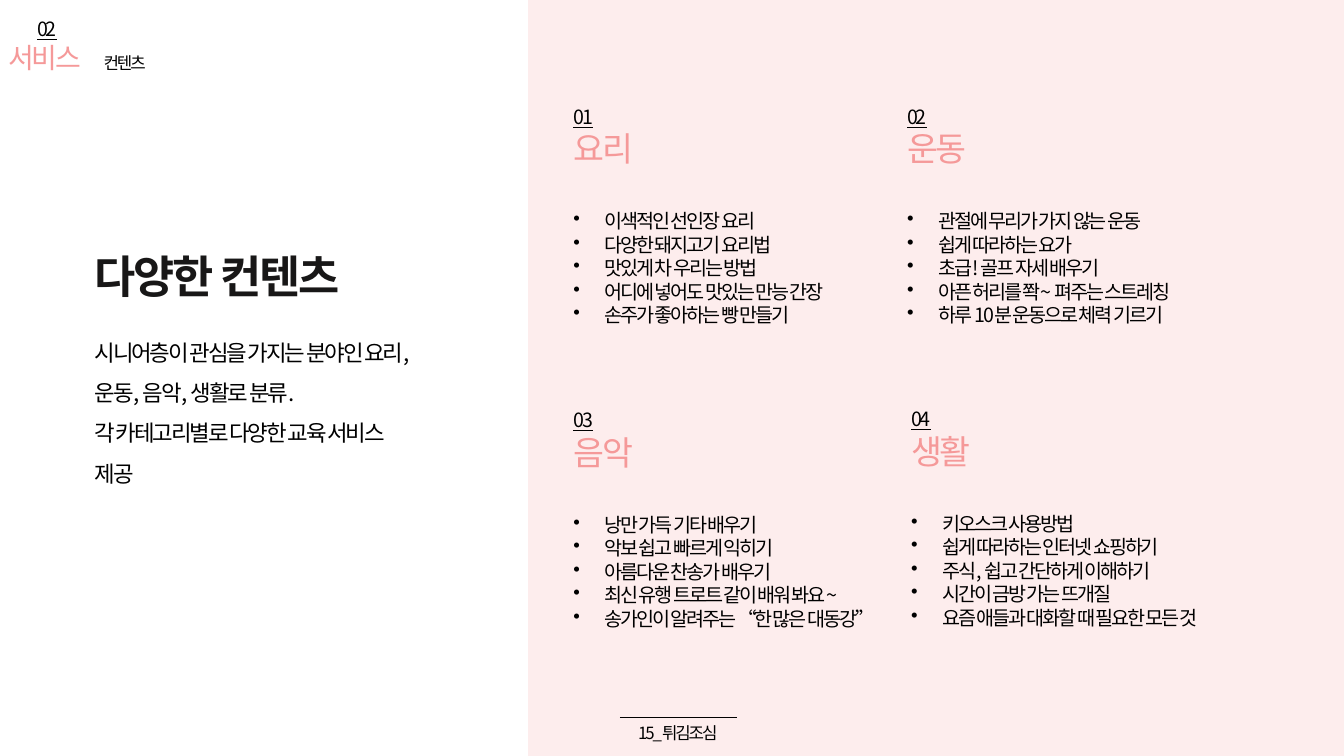
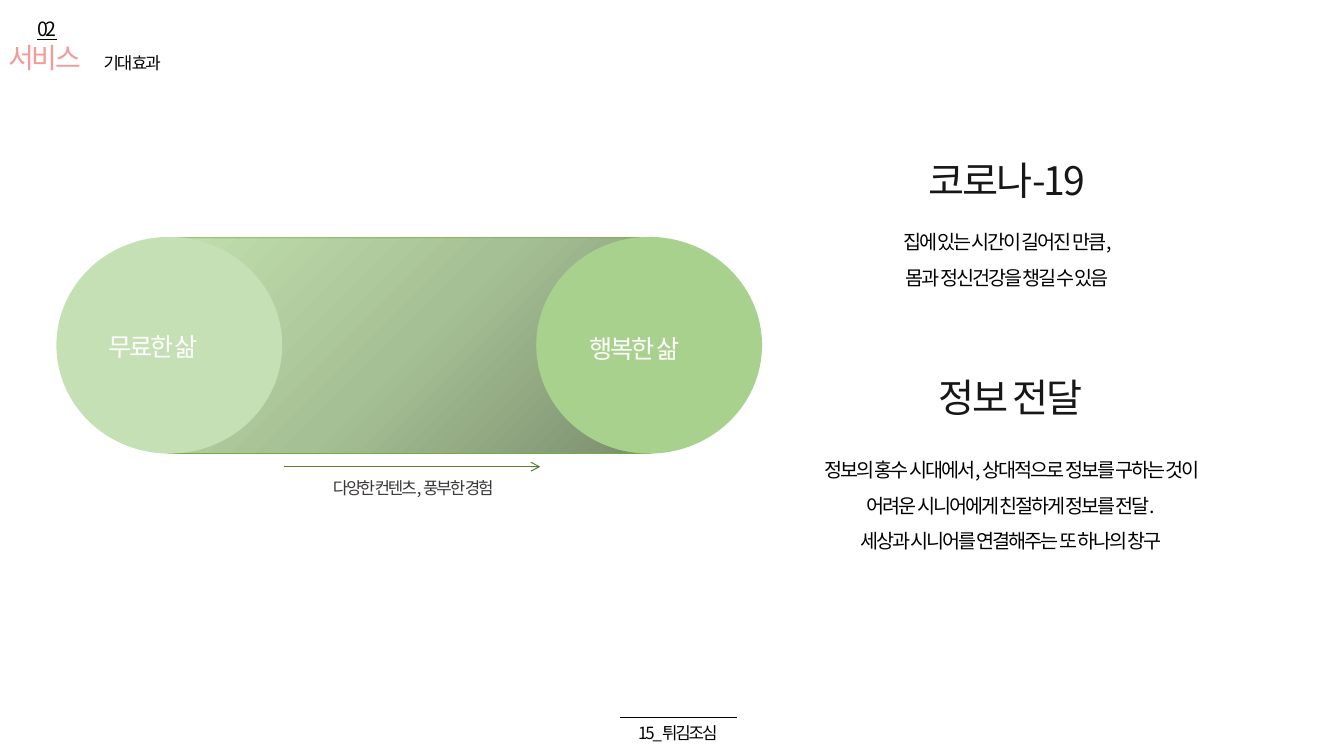
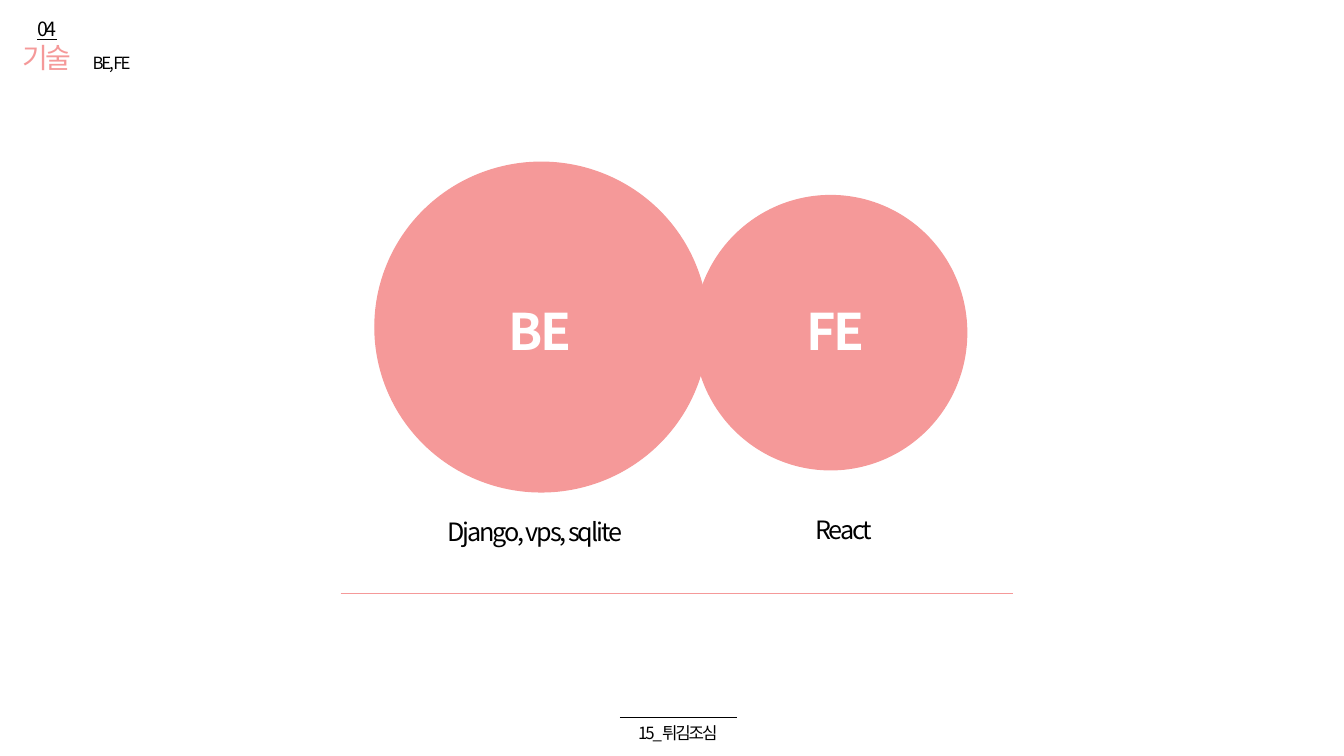
from pptx import Presentation, oxml, util as u
from pptx.dml.color import RGBColor
from pptx.enum import shapes as sh, text as tx
from pptx.oxml.ns import nsdecls, qn

PINK = RGBColor(0xF5, 0x99, 0x99)
BLUSH = RGBColor(0xFD, 0xED, 0xED)
BLACK = RGBColor(0, 0, 0)
INK = RGBColor(0x18, 0x17, 0x17)
GRAY = RGBColor(0x3B, 0x38, 0x38)
WHITE = RGBColor(0xFF, 0xFF, 0xFF)
LEAF = RGBColor(0xA9, 0xD1, 0x8E)
MINT = RGBColor(0xC5, 0xE0, 0xB4)
GREEN = RGBColor(0x70, 0xAD, 0x47)
MOSS = RGBColor(0x54, 0x82, 0x35)
FONT = "Noto Sans CJK KR"
MID = tx.PP_ALIGN.CENTER
OVAL = sh.MSO_SHAPE.OVAL

# The grid: square cells, 75 rows high
COLS, ROWS = 133.33, 75
CELL = u.Inches(0.1)


def write(page, lines, box, **base):
    """Add a text box; a line is a string or a (string, format) pair."""
    frame = page.shapes.add_textbox(*[int(n * CELL) for n in box]).text_frame
    frame.word_wrap = True
    for i, line in enumerate(lines):
        words, own = (line, {}) if isinstance(line, str) else line
        fmt = {**base, **own}
        para = frame.add_paragraph() if i else frame.paragraphs[0]
        if fmt.get("dot"):
            props = para._p.get_or_add_pPr()
            props.set("marL", str(u.Inches(0.31)))
            props.set("indent", str(-u.Inches(0.31)))
            props.append(oxml.parse_xml(f'<a:buChar {nsdecls("a")} char="•"/>'))
        para.alignment = fmt.get("align")
        para.line_spacing = fmt.get("lead")
        if "gap" in fmt:
            para.space_before = u.Pt(fmt["gap"])
        run = para.add_run()
        run.text = words
        font = run.font
        font.size = u.Pt(fmt.get("size", 14))
        font.bold = fmt.get("bold")
        font.underline = fmt.get("under")
        font.color.rgb = fmt.get("color", BLACK)
        font.name = FONT
        props = run._r.get_or_add_rPr()
        props.set("spc", "-150")
        props.find(qn("a:latin")).addnext(
            oxml.parse_xml(f'<a:ea {nsdecls("a")} typeface="{FONT}"/>'))


def draw(page, kind, box, fill=None, line=None, width=1):
    """Add a preset shape, or a level line if kind is None."""
    x, y, w, h = [int(n * CELL) for n in box]
    if kind is None:
        item = page.shapes.add_connector(sh.MSO_CONNECTOR.STRAIGHT, x, y, x + w, y + h)
        item._element.spPr.append(oxml.parse_xml(f'<a:effectLst {nsdecls("a")}/>'))
    else:
        item = page.shapes.add_shape(kind, x, y, w, h)
        item.shadow.inherit = False
        if fill is not None:
            item.fill.solid()
            item.fill.fore_color.rgb = fill
    if line is None:
        item.line.fill.background()
    else:
        item.line.color.rgb = line
        item.line.width = u.Pt(width)
    return item


deck = Presentation()
deck.slide_width, deck.slide_height = int(COLS * CELL), ROWS * CELL
menu, gain, tech = [deck.slides.add_slide(deck.slide_layouts[6]) for _ in range(3)]

# Contents
draw(menu, sh.MSO_SHAPE.RECTANGLE, (52.4, 0, COLS - 52.4, ROWS), BLUSH)
write(menu, ["다양한 컨텐츠"], (8.4, 24.2, 30.2, 6.4), size=32, bold=True, color=INK)
write(menu, ["시니어층이 관심을 가지는 분야인 요리, 운동, 음악, 생활로 분류.",
             "각 카테고리별로 다양한 교육 서비스 제공"],
      (8.4, 31.8, 33.1, 19.8), size=16, lead=1.5)
topics = [
    (55.9, 9.9, "요리", ["이색적인 선인장 요리", "다양한 돼지고기 요리법", "맛있게 차 우리는 방법",
                       "어디에 넣어도 맛있는 만능 간장", "손주가 좋아하는 빵 만들기"]),
    (89, 9.9, "운동", ["관절에 무리가 가지 않는 운동", "쉽게 따라하는 요가", "초급! 골프 자세 배우기",
                     "아픈 허리를 쫙~ 펴주는 스트레칭", "하루 10분 운동으로 체력 기르기"]),
    (55.9, 40, "음악", ["낭만 가득 기타 배우기", "악보 쉽고 빠르게 익히기", "아름다운 찬송가 배우기",
                      "최신 유행 트로트 같이 배워 봐요~", "송가인이 알려주는 “한 많은 대동강”"]),
    (89.4, 39.9, "생활", ["키오스크 사용방법", "쉽게 따라하는 인터넷 쇼핑하기", "주식, 쉽고 간단하게 이해하기",
                        "시간이 금방 가는 뜨개질", "요즘 애들과 대화할 때 필요한 모든 것"]),
]
for i, (x, y, name, items) in enumerate(topics, 1):
    dots = [(item, dict(dot=True, gap=0 if n else 29)) for n, item in enumerate(items)]
    write(menu, [(f"0{i}", dict(under=True)), (name, dict(size=24, color=PINK)), *dots],
          (x, y, 34.8, 23.2))

# Expected effect
band = draw(gain, sh.MSO_SHAPE.ROUNDED_RECTANGLE, (11.9, 23.6, 57.4, 21.4),
            line=GREEN, width=0.5)
band.adjustments[0] = 0.26
band.fill.gradient()
stops = "".join(f'<a:gs pos="{at}000"><a:srgbClr val="{tone}"/></a:gs>'
                for at, tone in ((0, "758768"), (50, "A6C095"), (100, "C5E3B0")))
props = band._element.spPr
props.replace(props.find(qn("a:gradFill")), oxml.parse_xml(
    f'<a:gradFill {nsdecls("a")} rotWithShape="1"><a:gsLst>{stops}</a:gsLst>'
    '<a:path path="circle"><a:fillToRect l="100000" t="100000"/></a:path></a:gradFill>'))
for x, fill in ((53.2, LEAF), (5.6, MINT)):
    draw(gain, OVAL, (x, 23.5, 22.4, 21.5), fill)
arrow = draw(gain, None, (28.2, 46.3, 25.4, 0), line=MOSS, width=0.75)
arrow.line._get_or_add_ln().append(
    oxml.parse_xml(f'<a:tailEnd {nsdecls("a")} type="arrow"/>'))
write(gain, ["무료한 삶"], (9, 32.4, 12.4, 4), size=18, color=WHITE, align=MID)
write(gain, ["행복한 삶"], (57.5, 32.6, 13.7, 4), size=18, color=WHITE)
write(gain, ["다양한 컨텐츠, 풍부한 경험"], (25.9, 46.9, 30.2, 3), size=12, color=GRAY, align=MID)
for title, spot, lines, box in (
        ("코로나-19", (88.7, 15, 22.4, 5.7),
         ["집에 있는 시간이 길어진 만큼,", "몸과 정신건강을 챙길 수 있음"], (82.9, 21.2, 34.1, 7.6)),
        ("정보 전달", (86.6, 36.5, 27.3, 6.1),
         ["정보의 홍수 시대에서, 상대적으로 정보를 구하는 것이 어려운 시니어에게 친절하게 정보를 전달.",
          "세상과 시니어를 연결해주는 또 하나의 창구"], (79.9, 43.8, 40.8, 19.5))):
    write(gain, [title], spot, size=28, color=INK, align=MID)
    write(gain, lines, box, lead=1.5, align=MID)

# Technology
for disc, name, x, tools, box in (
        ((68.9, 19.4, 27, 27.2), "FE", 77.7, "React", (70.2, 50.5, 27, 4.7)),
        ((37.2, 16.1, 33, 32.7), "BE", 48.4, "Django, vps, sqlite", (37.2, 50.7, 31.7, 4.7))):
    draw(tech, OVAL, disc, PINK, PINK)
    write(tech, [name], (x, 29.3, 10.4, 8.3), size=36, bold=True, color=WHITE, align=MID)
    write(tech, [tools], box, size=18, align=MID)
draw(tech, None, (33.8, 58.9, 66.7, 0), line=PINK, width=0.75)

# Header and footer
for page, no, part, topic, x in ((menu, "02", "서비스 ", "컨텐츠", 9.3),
                                 (gain, "02", "서비스 ", "기대 효과", 9.3),
                                 (tech, "04", "기술", "BE, FE", 8.2)):
    write(page, [(no, dict(under=True)), (part, dict(size=20, color=PINK))],
          (-0.6, 1.2, 10.5, 6.7), align=MID)
    write(page, [topic], (x, 4.7, 28.6, 3), size=12)
    write(page, ["15_튀김조심"], (58.2, 71.2, 18.1, 3), size=12, align=MID)
    draw(page, None, (61.5, 71.2, 11.6, 0), line=BLACK, width=0.5)

deck.save("out.pptx")
